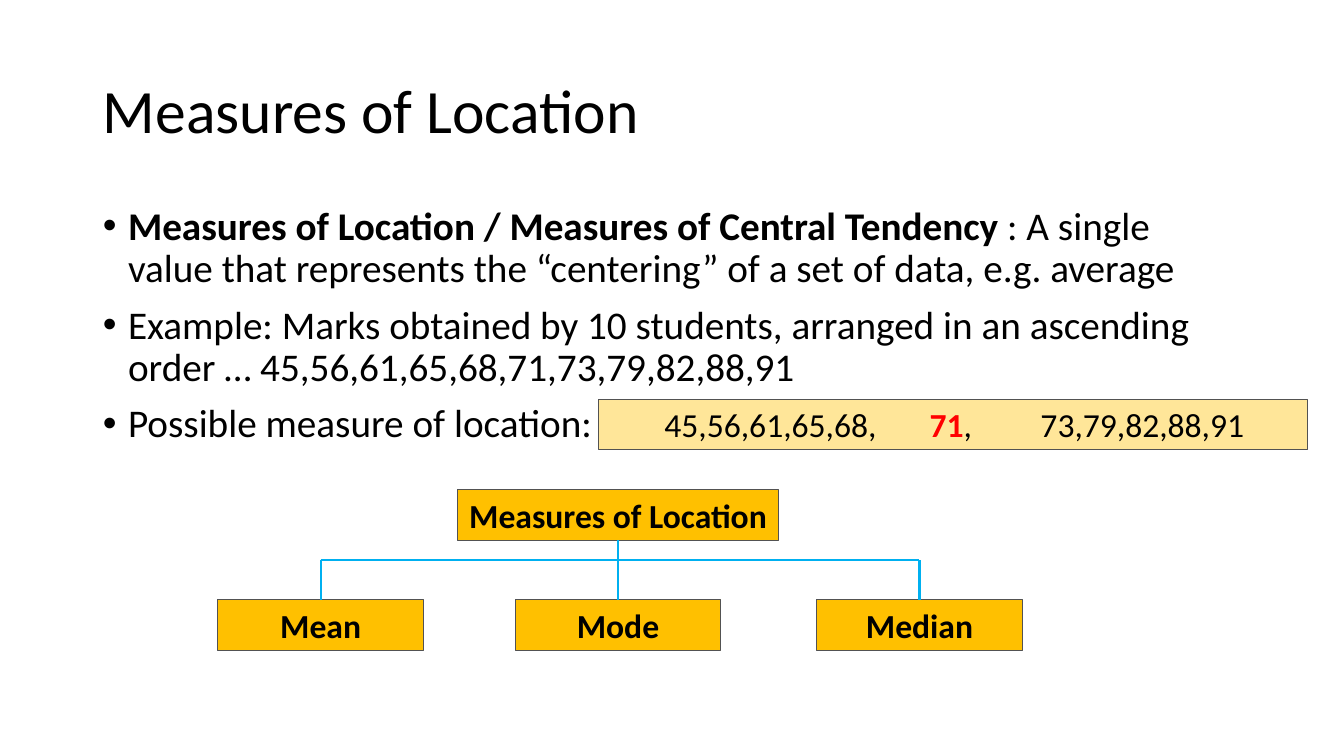
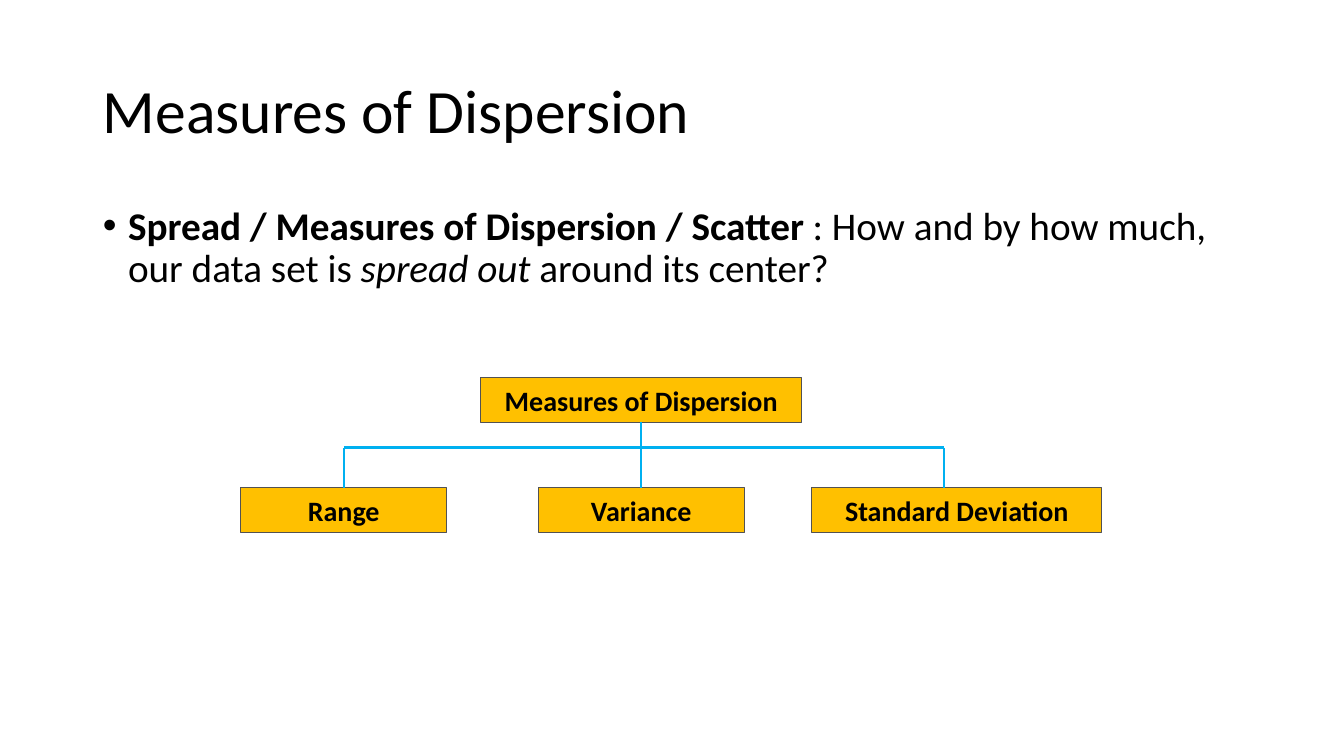
import pptx
import pptx.util
import pptx.dml.color
import pptx.enum.shapes
import pptx.enum.text
import pptx.oxml.ns
import lxml.etree

PX = 9144
FONT = "Calibri"
BLACK, RED, GOLD, CREAM, GREY, BLUE = "000000", "FF0000", "FFC000", "FFE699", "525252", "00B0F0"
ALIGN = pptx.enum.text.PP_ALIGN
ANCHOR = pptx.enum.text.MSO_ANCHOR
BOLD = {"bold": True}
TITLE_AT = (92, 40, 1150, 145)
BODY_AT = (92, 200, 1150, 476)

SLIDES = [
    {
        "title": "Measures of Location",
        "bullets": [
            [("Measures of Location / Measures of Central Tendency", BOLD),
             (" : A single value that represents the “centering” of a set of data, e.g. average", {})],
            [("Example: Marks obtained by 10 students, arranged in an ascending order … "
              "45,56,61,65,68,71,73,79,82,88,91", {})],
            [("Possible measure of location:", {})],
        ],
        "strip": {
            "at": (594, 396, 703, 50), "inset": 65, "tabs": (263, 373), "size": 24,
            "runs": [("45,56,61,65,68,\t", {}), ("71", {"bold": True, "color": RED}),
                     (",\t73,79,82,88,91", {})],
        },
        "tree": {
            "root": ("Measures of Location", 613, 318), "root_top": 486, "bus": 556,
            "leaf_top": 595, "height": 50, "size": 24,
            "leaves": [("Mean", 318, 204, 318), ("Mode", 613, 204, 613), ("Median", 912, 204, 912)],
        },
    },
    {
        "title": "Measures of Dispersion",
        "bullets": [
            [("Spread / Measures of Dispersion / Scatter", BOLD),
             (" : How and by how much, our data set is ", {}),
             ("spread out", {"italic": True}), (" around its center?", {})],
        ],
        "tree": {
            "root": ("Measures of Dispersion", 636, 318), "root_top": 375, "bus": 444,
            "leaf_top": 484, "height": 44, "size": 20,
            "leaves": [("Range", 341, 204, 341), ("Variance", 636, 204, 636),
                       ("Standard Deviation", 949, 288, 936)],
        },
    },
]


def px(n):
    return pptx.util.Emu(n * PX)


def rgb(value):
    return pptx.dml.color.RGBColor.from_string(value)


def add_runs(p, runs, size):
    for text, extra in runs:
        r = p.add_run()
        r.text = text
        look = {"name": FONT, "size": pptx.util.Pt(size), "color": BLACK, **extra}
        r.font.color.rgb = rgb(look.pop("color"))
        for key, value in look.items():
            setattr(r.font, key, value)


def fill_placeholder(sp, at, paragraphs, size, anchor, before, bullet):
    for key, value in zip(("left", "top", "width", "height"), at):
        setattr(sp, key, px(value))
    tf = sp.text_frame
    tf.auto_size = pptx.enum.text.MSO_AUTO_SIZE.NONE
    tf.vertical_anchor = anchor
    for i, runs in enumerate(paragraphs):
        p = tf.add_paragraph() if i else tf.paragraphs[0]
        look = {"alignment": ALIGN.LEFT, "line_spacing": 0.9, "space_before": pptx.util.Pt(before)}
        for key, value in look.items():
            setattr(p, key, value)
        add_runs(p, runs, size)
        if bullet:
            pPr = p._p.get_or_add_pPr()
            pPr.set("marL", str(px(25)))
            pPr.set("indent", str(-px(25)))
            for tag, key, value in (("a:buFont", "typeface", "Arial"), ("a:buChar", "char", bullet)):
                lxml.etree.SubElement(pPr, pptx.oxml.ns.qn(tag)).set(key, value)


def add_box(s, at, fill, runs, size):
    sp = s.shapes.add_shape(pptx.enum.shapes.MSO_SHAPE.RECTANGLE, *map(px, at))
    sp.shadow.inherit = False
    sp.fill.solid()
    sp.fill.fore_color.rgb = rgb(fill)
    sp.line.color.rgb = rgb(GREY)
    sp.line.width = pptx.util.Pt(0.75)
    tf = sp.text_frame
    tf.word_wrap = False
    tf.vertical_anchor = ANCHOR.MIDDLE
    tf.paragraphs[0].alignment = ALIGN.CENTER
    add_runs(tf.paragraphs[0], runs, size)
    return sp


def add_strip(s, strip):
    tf = add_box(s, strip["at"], CREAM, strip["runs"], strip["size"]).text_frame
    tf.word_wrap = True
    tf.margin_left = px(strip["inset"])
    p = tf.paragraphs[0]
    p.alignment = ALIGN.LEFT
    tabs = lxml.etree.SubElement(p._p.get_or_add_pPr(), pptx.oxml.ns.qn("a:tabLst"))
    for pos in strip["tabs"]:
        tab = lxml.etree.SubElement(tabs, pptx.oxml.ns.qn("a:tab"))
        tab.set("pos", str(px(pos)))
        tab.set("algn", "l")


def add_line(s, x1, y1, x2, y2):
    line = s.shapes.add_connector(pptx.enum.shapes.MSO_CONNECTOR.STRAIGHT, *map(px, (x1, y1, x2, y2)))
    line.line.color.rgb = rgb(BLUE)
    line.line.width = pptx.util.Pt(1.5)
    lxml.etree.SubElement(line._element.spPr, pptx.oxml.ns.qn("a:effectLst"))
    return line


def add_tree(s, tree):
    def node(text, center, width, top):
        at = (center - width // 2, top, width, tree["height"])
        return add_box(s, at, GOLD, [(text, BOLD)], tree["size"])

    root = node(*tree["root"], tree["root_top"])
    root_x = tree["root"][1]
    drops = [drop for *_, drop in tree["leaves"]]
    add_line(s, drops[0], tree["bus"], drops[-1], tree["bus"])
    for text, center, width, drop in tree["leaves"]:
        leaf = node(text, center, width, tree["leaf_top"])
        trunk = drop == root_x
        start = tree["root_top"] + tree["height"] if trunk else tree["bus"]
        line = add_line(s, drop, start, drop, tree["leaf_top"])
        if trunk:
            line.begin_connect(root, 2)
        if drop == center:
            line.end_connect(leaf, 0)


def main():
    prs = pptx.Presentation()
    prs.slide_width, prs.slide_height = pptx.util.Inches(13.33), pptx.util.Inches(7.5)
    for content in SLIDES:
        s = prs.slides.add_slide(prs.slide_layouts[1])
        title, body = s.placeholders
        fill_placeholder(title, TITLE_AT, [[(content["title"], {})]], 44, ANCHOR.MIDDLE, 0, None)
        fill_placeholder(body, BODY_AT, content["bullets"], 28, ANCHOR.TOP, 10, "•")
        if "strip" in content:
            add_strip(s, content["strip"])
        add_tree(s, content["tree"])
    prs.save("out.pptx")


if __name__ == "__main__":
    main()
